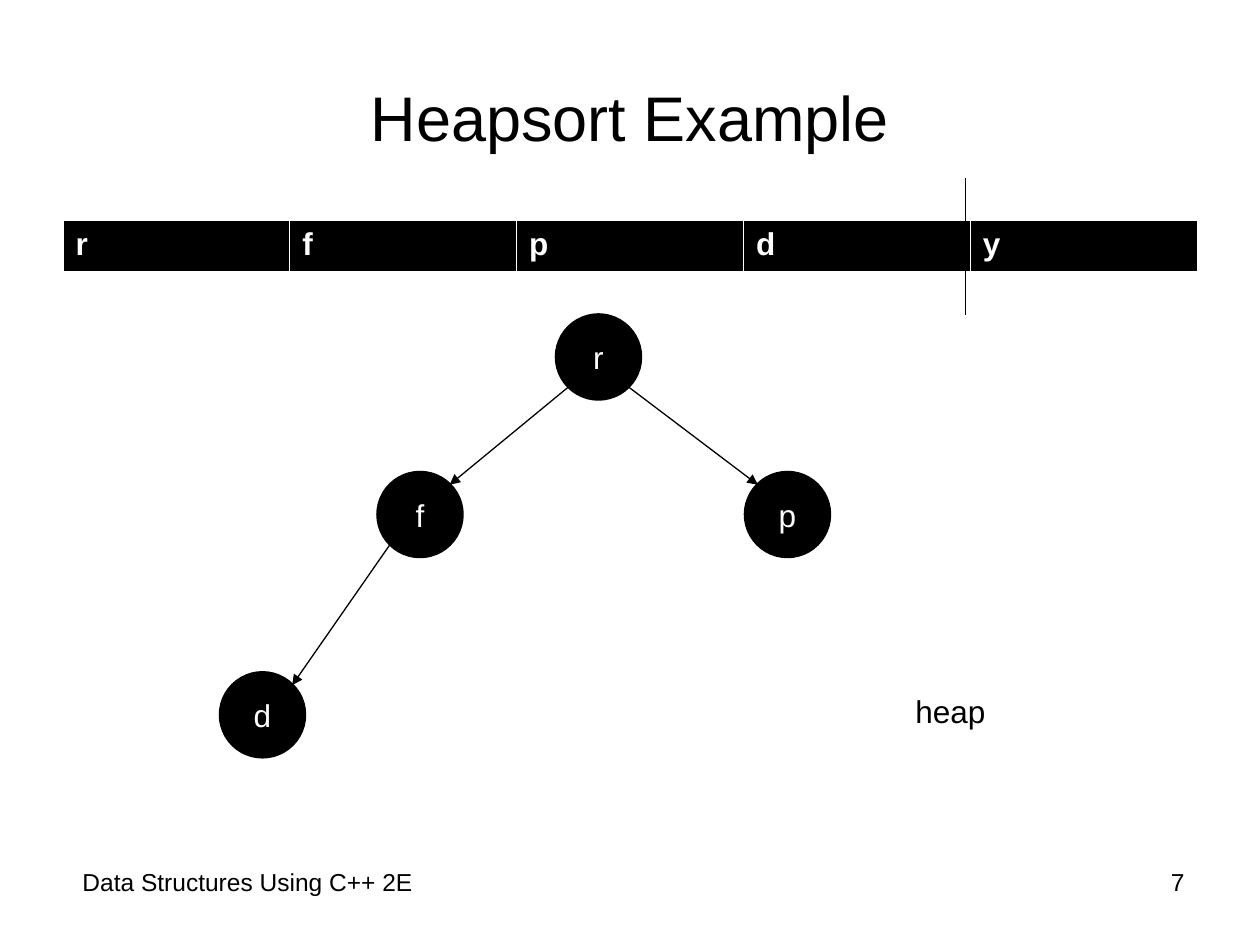
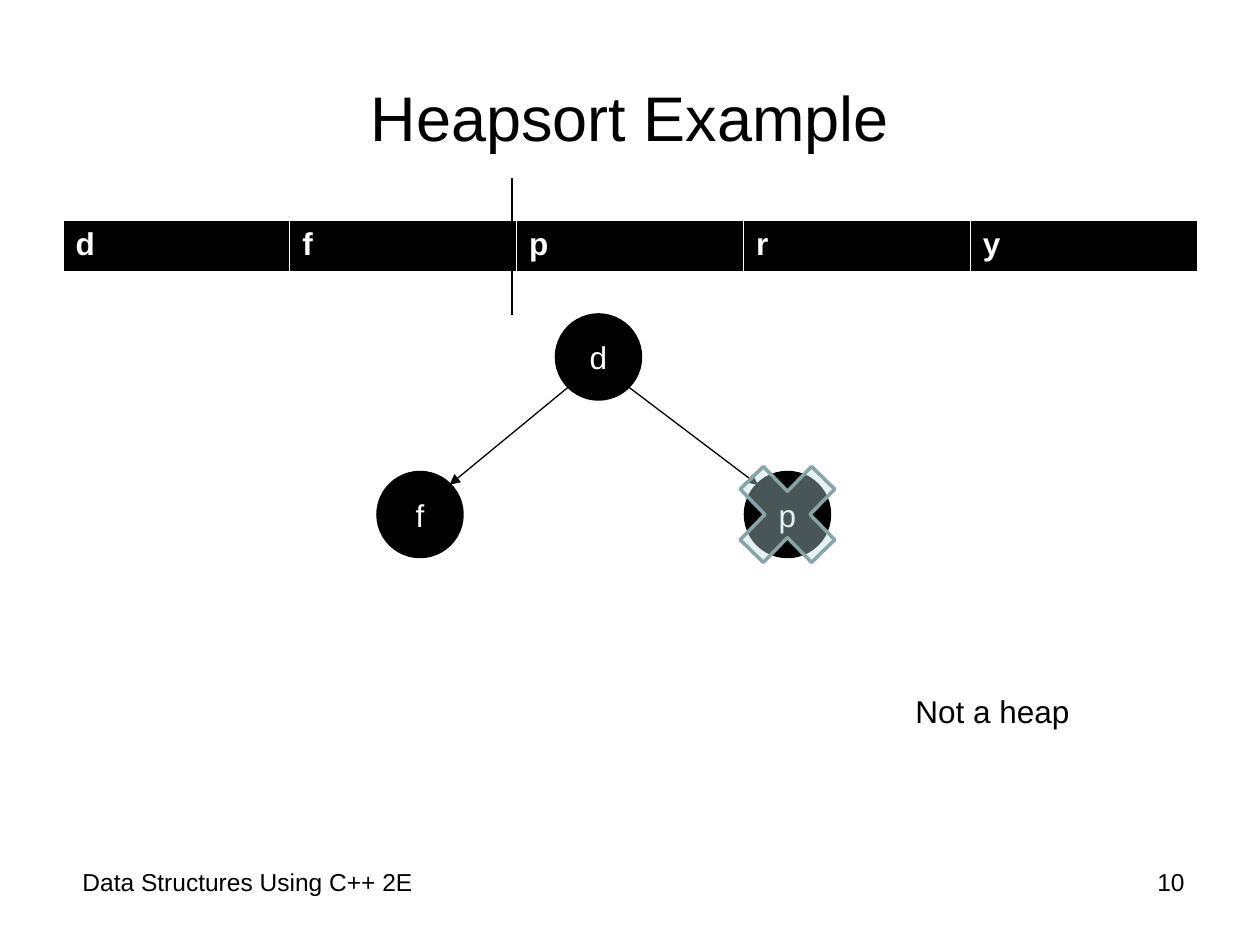
import math
from dataclasses import dataclass

import lxml.etree
import pptx
import pptx.dml.color
import pptx.enum.shapes
import pptx.enum.text
import pptx.oxml
import pptx.oxml.ns
import pptx.util

Pt = pptx.util.Pt
Shape = pptx.enum.shapes.MSO_SHAPE
Align = pptx.enum.text.PP_ALIGN
Anchor = pptx.enum.text.MSO_ANCHOR
qn = pptx.oxml.ns.qn


@dataclass(frozen=True)
class Theme:
    font: str = "Arial"
    ink: str = "000000"
    paper: str = "FFFFFF"
    cross_fill: str = "BBE0E3"
    cross_line: str = "89A4A7"
    cross_opacity: int = 39
    title: float = 36
    body: float = 18
    footer: float = 14
    thin: float = 0.75
    outline: float = 2


THEME = Theme()
rgb = pptx.dml.color.RGBColor.from_string

MARGIN, CONTENT_WIDTH = 36, 648
ARRAY_TOP, ARRAY_HEIGHT = 126, 29.5
DIVIDER_TOP, DIVIDER_BOTTOM, DIVIDER_OFFSET = 102, 180, -2.6
RADIUS = 24
DIAGONAL = RADIUS * math.sqrt(0.5)
CROSS_WIDTH, CROSS_HEIGHT = 78.5, 80.6
# Node centres in heap order: the children of i are 2i + 1 and 2i + 2.
NODE_CENTRES = [(342, 204), (240, 294), (450, 294), (150, 408.5)]

STEPS = [
    dict(number="7", array="rfpd" "y", heap_size=4, tree="rfpd",
         crossed=[], verdict="heap"),
    dict(number="10", array="dfpry", heap_size=2, tree="dfp",
         crossed=["p"], verdict="Not a heap"),
]


def write(frame, text, size=THEME.body, color=THEME.ink, bold=False,
          align=Align.LEFT, anchor=Anchor.TOP, left=7.2):
    frame.word_wrap = True
    frame.vertical_anchor = anchor
    frame.margin_left, frame.margin_right = Pt(left), Pt(7.2)
    frame.margin_top = frame.margin_bottom = Pt(3.6)
    paragraph = frame.paragraphs[0]
    paragraph.alignment = align
    run = paragraph.add_run()
    run.text = text
    run.font.name, run.font.size, run.font.bold = THEME.font, Pt(size), bold
    run.font.color.rgb = rgb(color)


def draw_line(shapes, start, end, arrow=False):
    line = shapes.add_connector(pptx.enum.shapes.MSO_CONNECTOR.STRAIGHT,
                                *(Pt(v) for v in (*start, *end)))
    line.line.color.rgb = rgb(THEME.ink)
    line.line.width = Pt(THEME.thin)
    if arrow:
        lxml.etree.SubElement(line.line._get_or_add_ln(), qn("a:tailEnd"), type="triangle")
    lxml.etree.SubElement(line._element.spPr, qn("a:effectLst"))


deck = pptx.Presentation()
deck.slide_width, deck.slide_height = Pt(720), Pt(540)

for step in STEPS:
    shapes = deck.slides.add_slide(deck.slide_layouts[6]).shapes

    title = shapes.add_textbox(Pt(MARGIN), Pt(21.6), Pt(CONTENT_WIDTH), Pt(90))
    write(title.text_frame, "Heapsort Example", size=THEME.title,
          align=Align.CENTER, anchor=Anchor.MIDDLE)

    # Array, one cell per element
    array = shapes.add_table(1, len(step["array"]), Pt(MARGIN), Pt(ARRAY_TOP),
                             Pt(CONTENT_WIDTH), Pt(ARRAY_HEIGHT)).table
    for cell, letter in zip(array.rows[0].cells, step["array"]):
        write(cell.text_frame, letter, color=THEME.paper, bold=True)
        cell.margin_left = cell.margin_right = Pt(7.2)
        cell.margin_top = cell.margin_bottom = Pt(3.6)
        properties = cell._tc.get_or_add_tcPr()
        for side, width in dict(lnL=0.45, lnR=0.45, lnT=0.45, lnB=1.47).items():
            border = lxml.etree.SubElement(properties, qn(f"a:{side}"), w=str(int(Pt(width))))
            paint = lxml.etree.SubElement(border, qn("a:solidFill"))
            lxml.etree.SubElement(paint, qn("a:srgbClr"), val=THEME.paper)
        cell.fill.solid()
        cell.fill.fore_color.rgb = rgb(THEME.ink)

    footer = shapes.add_textbox(Pt(MARGIN), Pt(491.8), Pt(546), Pt(37.4))
    write(footer.text_frame, "Data Structures Using C++ 2E", size=THEME.footer, left=11.1)
    page = shapes.add_textbox(Pt(618), Pt(491.8), Pt(66), Pt(37.4))
    write(page.text_frame, step["number"], size=THEME.footer, align=Align.RIGHT)

    # Heap tree
    for letter, (x, y) in zip(step["tree"], NODE_CENTRES):
        node = shapes.add_shape(Shape.OVAL, Pt(x - RADIUS), Pt(y - RADIUS),
                                Pt(2 * RADIUS), Pt(2 * RADIUS))
        node.shadow.inherit = False
        node.fill.solid()
        node.fill.fore_color.rgb = node.line.color.rgb = rgb(THEME.ink)
        node.line.width = Pt(THEME.outline)
        write(node.text_frame, letter, color=THEME.paper,
              align=Align.CENTER, anchor=Anchor.MIDDLE)
    for child in range(1, len(step["tree"])):
        parent_x, parent_y = NODE_CENTRES[(child - 1) // 2]
        child_x, child_y = NODE_CENTRES[child]
        reach = math.copysign(DIAGONAL, child_x - parent_x)
        draw_line(shapes, (parent_x + reach, parent_y + DIAGONAL),
                  (child_x - reach, child_y - DIAGONAL), arrow=True)

    verdict = shapes.add_textbox(Pt(516), Pt(391.7), Pt(132), Pt(28.8))
    write(verdict.text_frame, step["verdict"])

    # Divider between the heap and the sorted part
    divider_x = (MARGIN + CONTENT_WIDTH * step["heap_size"] / len(step["array"])
                 + DIVIDER_OFFSET)
    draw_line(shapes, (divider_x, DIVIDER_TOP), (divider_x, DIVIDER_BOTTOM))

    for letter in step["crossed"]:
        x, y = NODE_CENTRES[step["tree"].index(letter)]
        cross = shapes.add_shape(Shape.MATH_MULTIPLY, Pt(x - CROSS_WIDTH / 2),
                                 Pt(y - CROSS_HEIGHT / 2), Pt(CROSS_WIDTH), Pt(CROSS_HEIGHT))
        cross.shadow.inherit = False
        cross.fill.solid()
        cross.fill.fore_color.rgb = rgb(THEME.cross_fill)
        tint = cross._element.spPr.find(qn("a:solidFill")).find(qn("a:srgbClr"))
        lxml.etree.SubElement(tint, qn("a:alpha"), val=str(THEME.cross_opacity * 1000))
        cross.line.color.rgb = rgb(THEME.cross_line)
        cross.line.width = Pt(THEME.outline)

deck.save("out.pptx")
